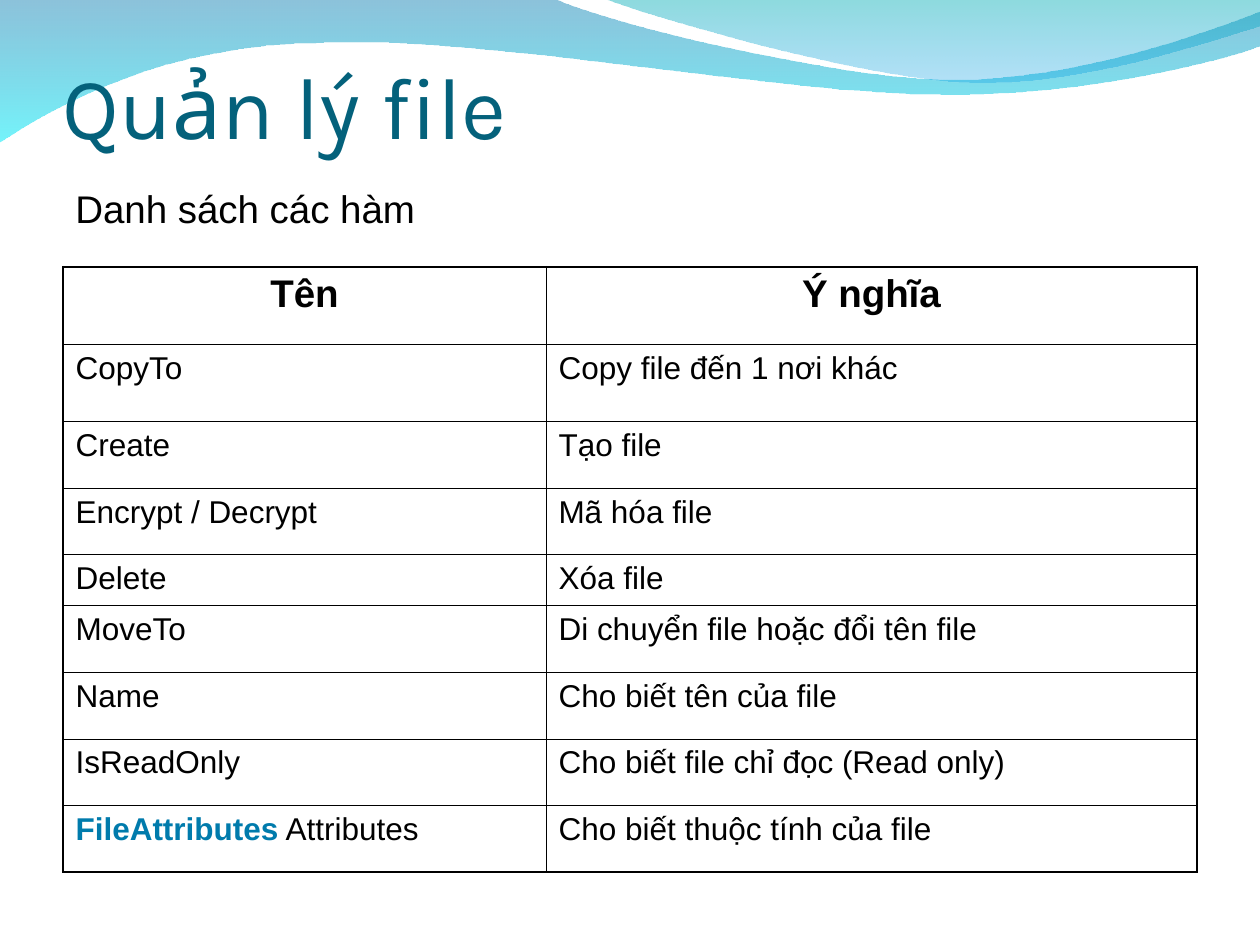
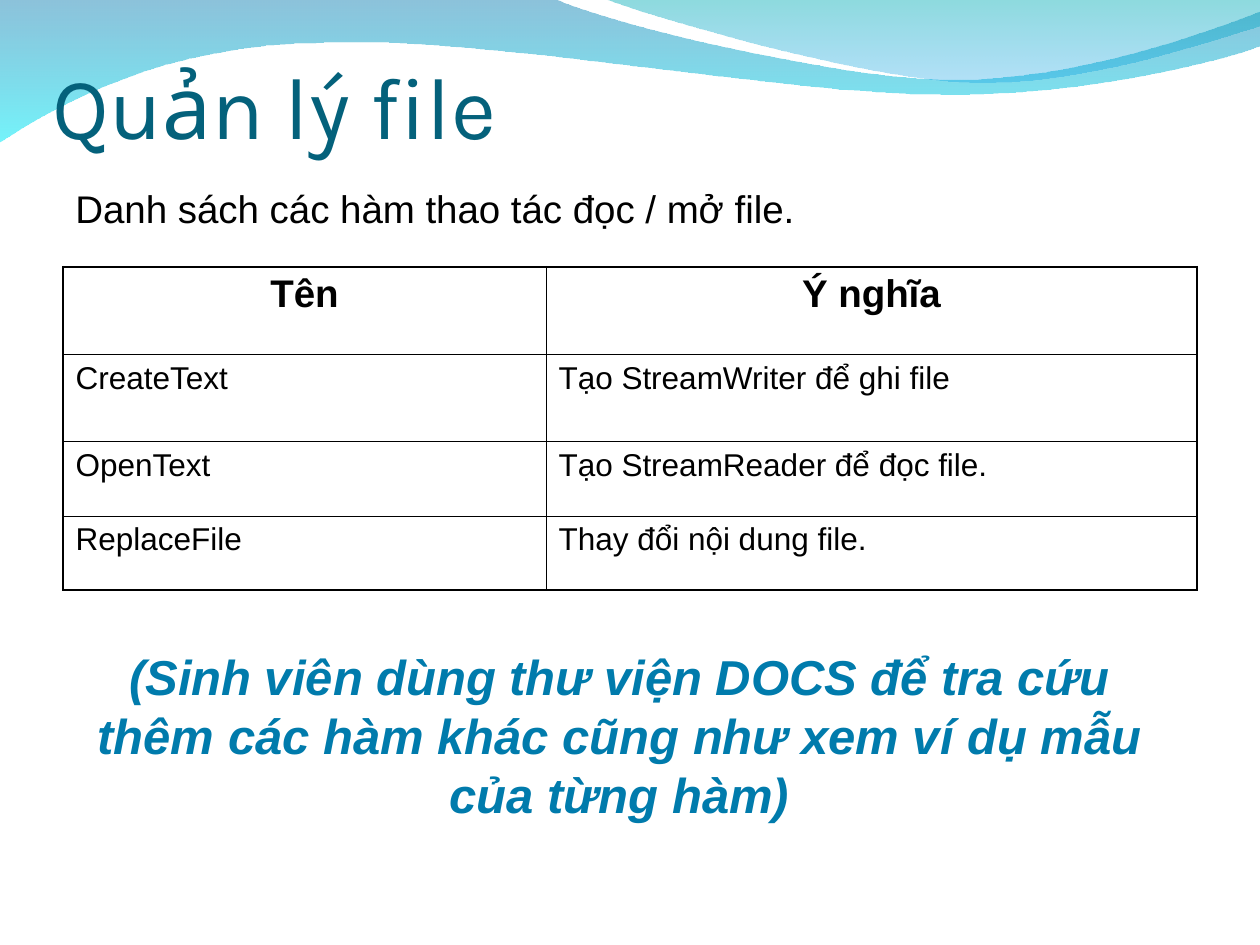
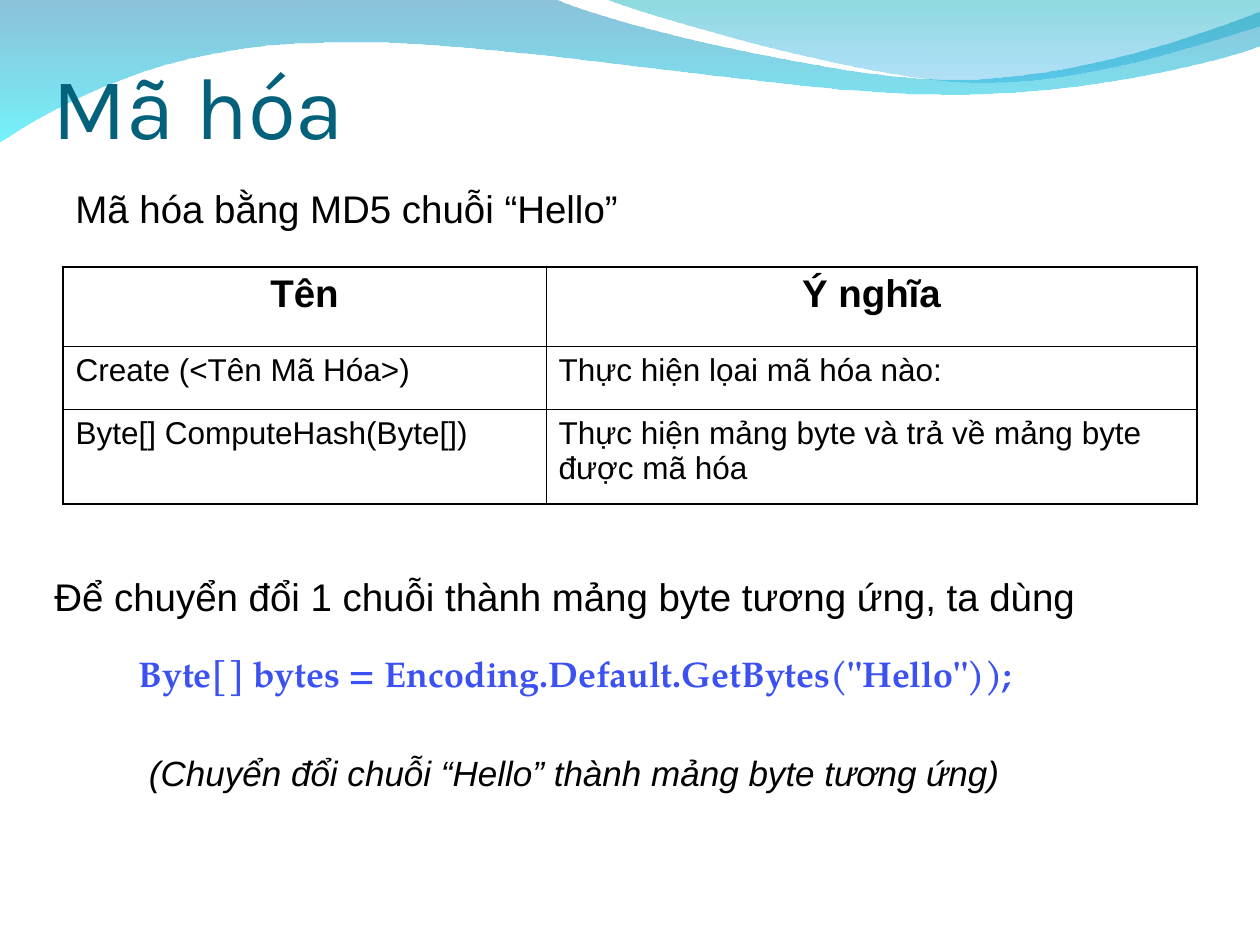
from pptx import Presentation
from pptx.dml.color import RGBColor
from pptx.enum.text import MSO_ANCHOR, PP_ALIGN
from pptx.oxml.ns import qn
from pptx.util import Pt
from lxml import etree

BOTTOM, TOP = MSO_ANCHOR.BOTTOM, MSO_ANCHOR.TOP
LEFT, CENTER = PP_ALIGN.LEFT, PP_ALIGN.CENTER

BLACK = RGBColor(0x00, 0x00, 0x00)
TEAL = RGBColor(0x04, 0x61, 0x7B)
BLUE = RGBColor(0x00, 0x7B, 0xAC)
CODE = RGBColor(0x3B, 0x51, 0xF1)
DEEP = RGBColor(0x00, 0x79, 0xAF)
AQUA = RGBColor(0x00, 0xEB, 0xF8)
SEA = RGBColor(0x00, 0xAD, 0xB6)
SKY = RGBColor(0x00, 0x9B, 0xE5)

BODY, HEAD, SERIF = "Arial", "Karla", "TeX Gyre Pagella"
THIN, THICK = Pt(0.45), Pt(1.08)
INSET = (7.2, 3.6, 7.2, 3.6)
COLS = (276, 372)
STEPS = 16

# Wave outlines in points: two numbers are a line, six a Bézier curve
BAND = [
    (0, -0.7), (316.8, -0.7),
    (342.7, 12.2, 478.1, 45.4, 545.8, 45.4),
    (614.2, 45.4, 689.8, 18.7, 720, 6.5),
    (720.7, 25.9),
    (707.8, 31.7, 626.4, 54.7, 537.1, 54),
    (447.8, 54, 275, 20.2, 185, 24.5),
    (92.9, 25.2, 33.1, 59.8, -0.7, 81.4),
]
CREST = [
    (344.9, -0.7),
    (366.5, 7.9, 491, 44.6, 553.7, 46.8),
    (616.3, 49.7, 691.9, 23, 720, 15.1),
    (720, 0),
]


def trace(path):
    """Turn lines and Bézier curves into a list of points."""
    pts = [path[0]]
    for seg in path[1:]:
        if len(seg) == 2:
            pts.append(seg)
            continue
        knots = [pts[-1], seg[:2], seg[2:4], seg[4:]]
        for step in range(1, STEPS + 1):
            t = step / STEPS
            mix = ((1 - t) ** 3, 3 * t * (1 - t) ** 2,
                   3 * t * t * (1 - t), t ** 3)
            pts.append(tuple(sum(m * k[axis] for m, k in zip(mix, knots))
                             for axis in (0, 1)))
    return pts


def add_wave(slide, path, stops):
    pts = [(Pt(x), Pt(y)) for x, y in trace(path)]
    form = slide.shapes.build_freeform(*pts[0])
    form.add_line_segments(pts[1:], close=True)
    wave = form.convert_to_shape()
    wave.shadow.inherit = False
    wave.line.fill.background()
    wave.fill.gradient()
    wave.fill.gradient_angle = 270
    for stop, (color, _) in zip(wave.fill.gradient_stops, stops):
        stop.color.rgb = color
    tones = wave._element.spPr.iter(qn("a:srgbClr"))
    for tone, (_, alpha) in zip(tones, stops):
        etree.SubElement(tone, qn("a:alpha"), val=str(alpha * 1000))


def set_font(font, size, color=BLACK, name=BODY, bold=False, italic=False):
    font.name, font.size = name, Pt(size)
    font.bold, font.italic = bold, italic
    font.color.rgb = color


def add_text(slide, box, text, size, inset=INSET, anchor=TOP, align=LEFT,
             space=None, **style):
    frame = slide.shapes.add_textbox(*map(Pt, box)).text_frame
    frame.word_wrap = True
    frame.vertical_anchor = anchor
    (frame.margin_left, frame.margin_top,
     frame.margin_right, frame.margin_bottom) = map(Pt, inset)
    para = frame.paragraphs[0]
    para.text = text
    para.alignment = align
    para.line_spacing = space
    set_font(para.font, size, **style)


def set_edges(cell, edges):
    props = cell._tc.get_or_add_tcPr()
    for side, width in edges:
        line = etree.SubElement(props, qn(f"a:ln{side}"), w=str(width))
        fill = etree.SubElement(line, qn("a:solidFill"))
        etree.SubElement(fill, qn("a:srgbClr"), val=str(BLACK))
    cell.fill.background()


def add_grid(slide, left, top, rows, heights):
    """Table with a bold head row, thick outer and thin inner rules."""
    rows = [("Tên", "Ý nghĩa")] + rows
    size = len(rows), len(COLS)
    table = slide.shapes.add_table(
        *size, Pt(left), Pt(top), Pt(sum(COLS)), Pt(sum(heights))).table
    table.first_row = table.horz_banding = False
    for col, width in zip(table.columns, COLS):
        col.width = Pt(width)
    for r, (texts, height) in enumerate(zip(rows, heights)):
        table.rows[r].height = Pt(height)
        for c, text in enumerate(texts):
            cell = table.cell(r, c)
            outer = (("L", c == 0), ("R", c == size[1] - 1),
                     ("T", r == 0), ("B", r == size[0] - 1))
            set_edges(cell, [(s, THICK if out else THIN) for s, out in outer])
            para = cell.text_frame.paragraphs[0]
            para.alignment = LEFT if r else CENTER
            set_font(para.font, 18 if r else 22, bold=r == 0)
            # A pair holds a highlighted type and the name after it
            parts = (text,) if isinstance(text, str) else text
            for part in parts:
                para.add_run().text = part
            if len(parts) > 1:
                set_font(para.runs[0].font, 18, BLUE, bold=True)


def add_page(deck, title, lead, rows, heights, left=30):
    """Waves, title, lead line and table shared by all slides."""
    slide = deck.slides.add_slide(deck.slide_layouts[6])
    add_wave(slide, BAND, ((DEEP, 45), (AQUA, 55)))
    add_wave(slide, CREST, ((SEA, 45), (SKY, 30)))
    add_text(slide, (left, 0, 648, 90), title, 50, inset=(0, 3.6, 0, 0),
             anchor=BOTTOM, color=TEAL, name=HEAD)
    add_text(slide, (36, 102, 552, 42), lead, 22)
    add_grid(slide, 36, 152.4, rows, heights)
    return slide


def add_code(slide, left, top):
    """Explanation, code line and remark below the table."""
    add_text(slide, (left, top, 666, 42),
             "Để chuyển đổi 1 chuỗi thành mảng byte tương ứng, ta dùng", 22)
    add_text(slide, (left + 48, top + 48, 576, 42),
             'Byte[] bytes = Encoding.Default.GetBytes("Hello"));', 20.4,
             space=0.9, color=CODE, name=SERIF, bold=True)
    add_text(slide, (left + 54, top + 102, 558, 42),
             "(Chuyển đổi chuỗi “Hello” thành mảng byte tương ứng)", 20,
             italic=True)


def main():
    deck = Presentation()
    deck.slide_width, deck.slide_height = Pt(720), Pt(540)

    # File functions
    add_page(deck, "Quản lý file", "Danh sách các hàm", [
        ("CopyTo", "Copy file đến 1 nơi khác"),
        ("Create", "Tạo file"),
        ("Encrypt / Decrypt", "Mã hóa file"),
        ("Delete", "Xóa file"),
        ("MoveTo", "Di chuyển file hoặc đổi tên file"),
        ("Name", "Cho biết tên của file"),
        ("IsReadOnly", "Cho biết file chỉ đọc (Read only)"),
        (("FileAttributes", " Attributes"), "Cho biết thuộc tính của file"),
    ], [44.5, 44] + [38.1] * 2 + [29] + [38.1] * 4, left=36)

    # Reading and opening files
    slide = add_page(
        deck, "Quản lý file", "Danh sách các hàm thao tác đọc / mở file.", [
            ("CreateText", "Tạo StreamWriter để ghi file"),
            ("OpenText", "Tạo StreamReader để đọc file."),
            ("ReplaceFile", "Thay đổi nội dung file."),
        ], [50, 50, 42.5, 42.5])
    add_text(slide, (30, 366, 648, 108),
             "(Sinh viên dùng thư viện DOCS để tra cứu thêm các hàm khác "
             "cũng như xem ví dụ mẫu của từng hàm)", 28,
             align=CENTER, color=BLUE, bold=True, italic=True)

    # Hashing
    slide = add_page(deck, "Mã hóa", "Mã hóa bằng MD5 chuỗi “Hello”", [
        ("Create (<Tên Mã Hóa>)", "Thực hiện lọai mã hóa nào:"),
        ("Byte[] ComputeHash(Byte[])",
         "Thực hiện mảng byte và trả về mảng byte được mã hóa"),
    ], [45.5, 36, 54])
    add_code(slide, 24, 324)

    deck.save("out.pptx")


if __name__ == "__main__":
    main()
